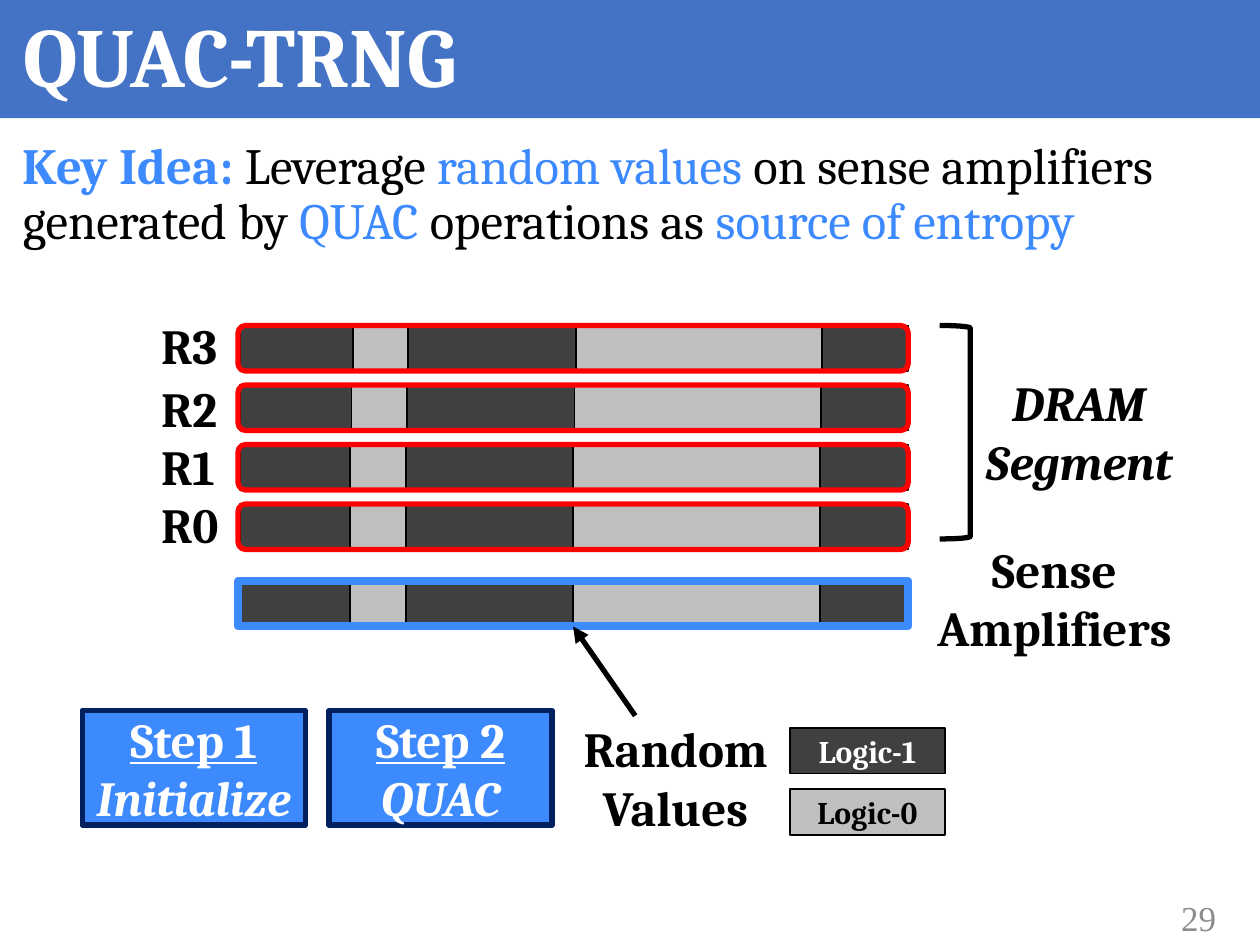
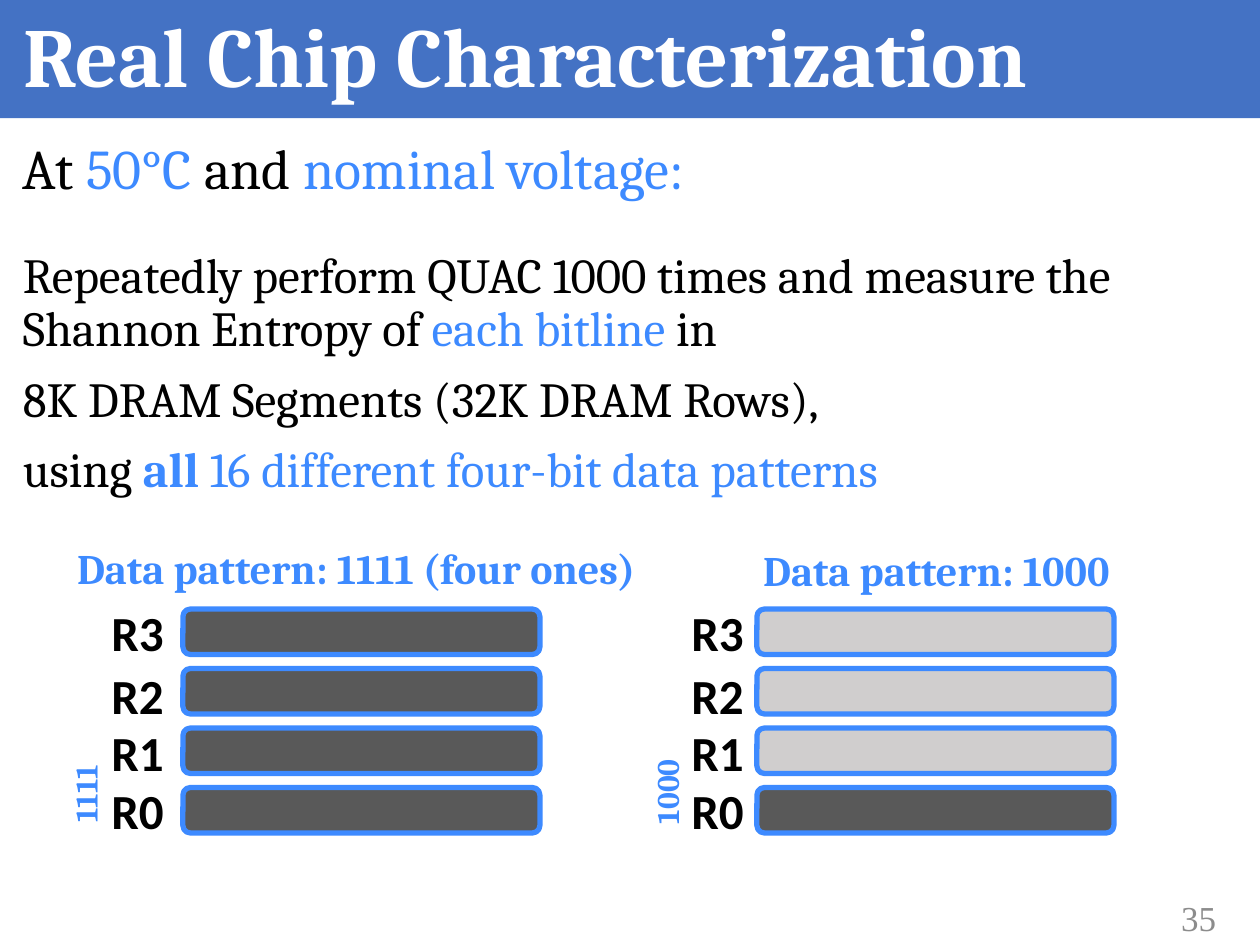
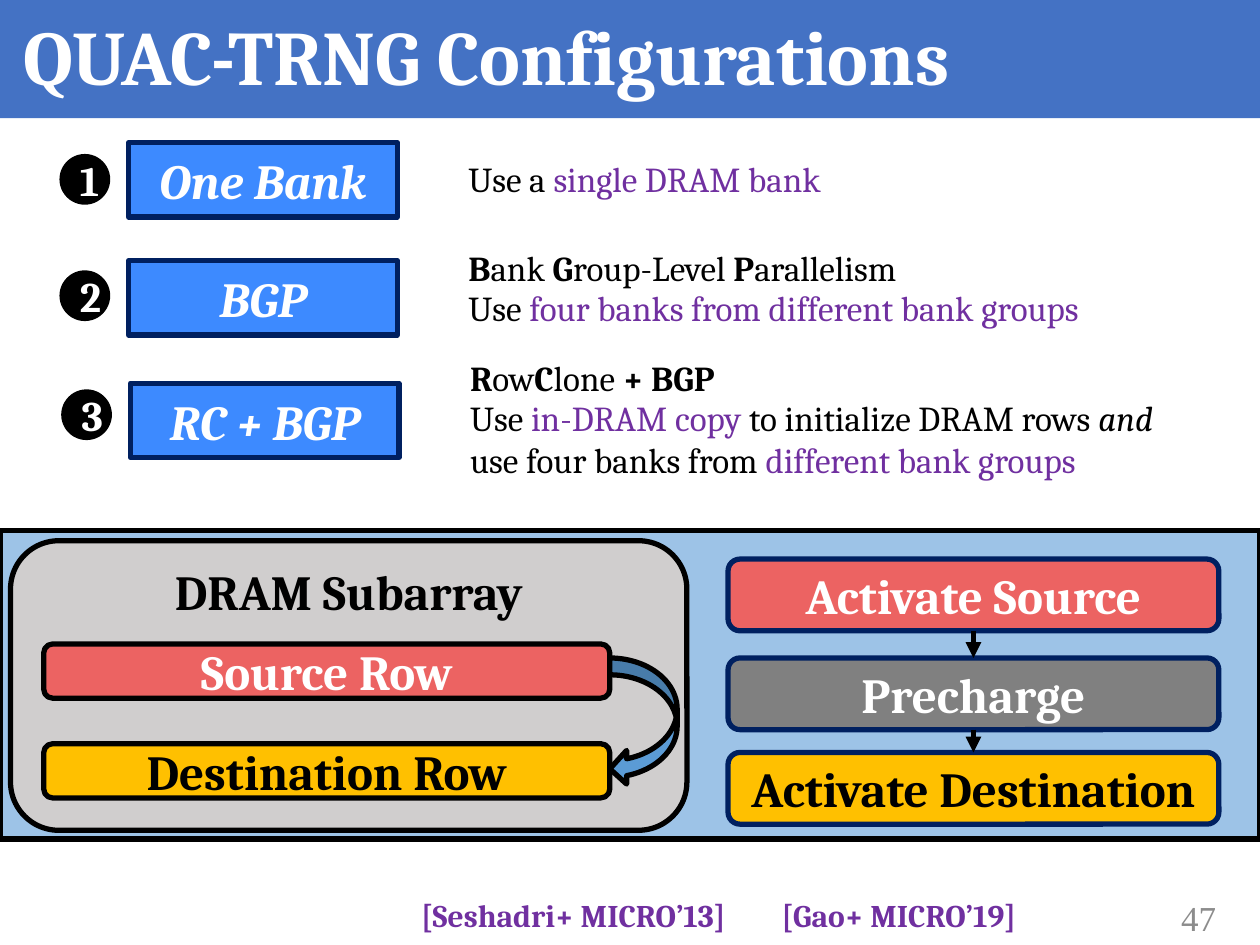
"""Build three slides on QUAC-TRNG: key idea, chip characterization and configurations."""
from lxml import etree
from pptx import Presentation
from pptx.dml.color import RGBColor
from pptx.enum import shapes, text
from pptx.oxml import ns
from pptx.util import Pt

BAND = RGBColor(0x44, 0x72, 0xC4)
BLUE = RGBColor(0x3D, 0x8A, 0xFF)
NAVY = RGBColor(0x00, 0x20, 0x60)
SKY = RGBColor(0x9D, 0xC3, 0xE7)
ARROW_BLUE = RGBColor(0x5B, 0x9B, 0xD5)
PURPLE = RGBColor(0x70, 0x30, 0xA0)
RED = RGBColor(0xFF, 0x00, 0x00)
CORAL = RGBColor(0xEC, 0x63, 0x62)
GOLD = RGBColor(0xFF, 0xC0, 0x00)
BLACK = RGBColor(0x00, 0x00, 0x00)
WHITE = RGBColor(0xFF, 0xFF, 0xFF)
ONE = RGBColor(0x40, 0x40, 0x40)
ZERO = RGBColor(0xBF, 0xBF, 0xBF)
DARK = RGBColor(0x59, 0x59, 0x59)
LIGHT = RGBColor(0xD0, 0xCE, 0xCE)
GRAY = RGBColor(0x80, 0x80, 0x80)
FOOTER = RGBColor(0x8C, 0x8C, 0x8C)

RECT = shapes.MSO_SHAPE.RECTANGLE
ROUND = shapes.MSO_SHAPE.ROUNDED_RECTANGLE
LEFT, CENTER, RIGHT = text.PP_ALIGN.LEFT, text.PP_ALIGN.CENTER, text.PP_ALIGN.RIGHT
LABEL_OFFSETS = (0, 36, 69, 102)
ROW_STEP = 34
ROW_HEIGHT = 26


def draw(page, kind, place, fill=None, line=None, width=1):
    """Add a preset shape, or a wrapping text box when kind is None."""
    place = [Pt(length) for length in place]
    if kind is None:
        box = page.shapes.add_textbox(*place)
        box.text_frame.word_wrap = True
        return box
    box = page.shapes.add_shape(kind, *place)
    box.shadow.inherit = False
    if fill is None:
        box.fill.background()
    else:
        box.fill.solid()
        box.fill.fore_color.rgb = fill
    if line is None:
        box.line.fill.background()
    else:
        box.line.color.rgb = line
        box.line.width = Pt(width)
    return box


def write(box, spans, size, align=CENTER, font="Cambria"):
    """Append a paragraph of (words, colour, style) spans, where style uses b, i and u."""
    frame = box.text_frame
    para = frame.add_paragraph() if frame.text else frame.paragraphs[0]
    para.alignment = align
    for words, color, style in spans:
        if words == "\n":
            para.add_line_break()
            continue
        span = para.add_run()
        span.text = words
        span.font.name = font
        span.font.size = Pt(size)
        span.font.color.rgb = color
        span.font.bold = "b" in style
        span.font.italic = "i" in style
        span.font.underline = "u" in style
    return para


deck = Presentation()
deck.slide_width, deck.slide_height = Pt(720), Pt(540)
layout = deck.slide_layouts[5]
pages = []
for title, size, number in (
    ("QUAC-TRNG", 48, "29"),
    ("Real Chip Characterization", 48, "35"),
    ("QUAC-TRNG Configurations", 44, "47"),
):
    page = deck.slides.add_slide(layout)
    heading = page.shapes.title
    heading.left, heading.top, heading.width, heading.height = Pt(6), Pt(1), Pt(708), Pt(60)
    heading.text_frame.auto_size = text.MSO_AUTO_SIZE.NONE
    heading.text_frame.vertical_anchor = text.MSO_ANCHOR.MIDDLE
    write(heading, [(title, WHITE, "b")], size, LEFT).space_after = Pt(6)
    footer = draw(page, None, (624, 510, 78, 29))
    footer.text_frame.vertical_anchor = text.MSO_ANCHOR.MIDDLE
    write(footer, [(number, FOOTER, "")], 20, RIGHT, "Times New Roman")
    pages.append(page)
idea, chips, setups = pages

band = draw(idea, RECT, (0, 0, 720, 67.5), BAND)
layout.shapes._spTree.insert(2, band._element)
arrows = []

body = draw(idea, None, (6, 77, 708, 100))
write(body, [
    ("Key Idea:", BLUE, "b"), (" Leverage ", BLACK, ""), ("random values ", BLUE, ""),
    ("on sense amplifiers generated by ", BLACK, ""), ("QUAC ", BLUE, ""),
    ("operations as ", BLACK, ""), ("source of entropy", BLUE, ""),
], 29, LEFT).line_spacing = 0.9

ROWS_TOP = 186
SENSE_TOP = 332
tops = [ROWS_TOP + ROW_STEP * index for index in range(4)] + [SENSE_TOP]
for top, shift in zip(tops, (1.4, 0.7, 0, 0, 0)):
    inner = [edge + shift for edge in (200.2, 231.9, 327.6, 468.5)]
    edges = [137, *inner, 519]
    for index, (start, end) in enumerate(zip(edges, edges[1:])):
        draw(idea, RECT, (start, top, end - start, ROW_HEIGHT), (ONE, ZERO)[index % 2], BLACK)
for index, offset in enumerate(LABEL_OFFSETS):
    draw(idea, ROUND, (136, tops[index], 383, ROW_HEIGHT), None, RED, 3)
    label = draw(idea, None, (85, 177 + offset, 50, 41))
    write(label, [(f"R{3 - index}", BLACK, "b")], 28, LEFT)
sense = draw(idea, RECT, (136, SENSE_TOP, 383, ROW_HEIGHT), None, BLUE, 4.5)
arrows.append((idea, None, sense, 2))

draw(idea, shapes.MSO_SHAPE.RIGHT_BRACKET, (537, 186, 17.5, 122), None, BLACK, 3)
for words, style, place in (
    ("DRAM Segment", "bi", (547, 209.5, 139, 75)),
    ("Sense Amplifiers", "b", (519, 304.5, 167, 75)),
    ("Random Values", "b", (302.5, 407, 167, 75)),
):
    write(draw(idea, None, place), [(words, BLACK, style)], 28)
for left, step, action in ((47, "Step 1", "Initialize"), (188, "Step 2", "QUAC")):
    box = draw(idea, RECT, (left, 406, 127.5, 65.5), BLUE, NAVY, 3)
    write(box, [(step, WHITE, "bu"), ("\n", WHITE, ""), (action, WHITE, "bi")], 28)
for top, words, fill, color in ((416, "Logic-1", ONE, WHITE), (451, "Logic-0", ZERO, BLACK)):
    write(draw(idea, RECT, (451.5, top, 88.5, 26), fill, BLACK), [(words, color, "b")], 18)

body = draw(chips, None, (6, 77, 708, 220))
for size, before, spans in (
    (32, 0, [("At ", BLACK, ""), ("50°C ", BLUE, ""), ("and ", BLACK, ""),
             ("nominal voltage:", BLUE, "")]),
    (28, 28.5, [("Repeatedly perform QUAC 1000 times and measure the Shannon Entropy of ", BLACK, ""),
                ("each bitline ", BLUE, ""), ("in", BLACK, "")]),
    (28, 10, [("8K DRAM Segments (32K DRAM Rows),", BLACK, "")]),
    (28, 10, [("using ", BLACK, ""), ("all", BLUE, "b"),
              (" 16 different four-bit data patterns", BLUE, "")]),
):
    para = write(body, spans, size, LEFT)
    para.line_spacing = 0.9
    if before:
        para.space_before = Pt(before)

for caption, place, bits, row_left, label_left, side in (
    ("Data pattern: 1111 (four ones)", (17, 306.5, 373, 36), "1111", 104.5, 56.5, (-14, 400, 125.5, 29)),
    ("Data pattern: 1000", (405.5, 307.5, 259, 36), "1000", 432.5, 388, (317, 399.5, 128, 29)),
):
    write(draw(chips, None, place), [(caption, BLUE, "b")], 24)
    for index, (bit, offset) in enumerate(zip(reversed(bits), LABEL_OFFSETS)):
        fill = DARK if bit == "1" else LIGHT
        draw(chips, ROUND, (row_left, 348 + ROW_STEP * index, 204, ROW_HEIGHT), fill, BLUE, 3)
        label = draw(chips, None, (label_left, 340.5 + offset, 48, 41))
        write(label, [(f"R{3 - index}", BLACK, "b")], 28, LEFT, "Calibri")
    side_label = draw(chips, None, side)
    side_label.rotation = 270
    write(side_label, [(bits, BLUE, "b")], 18, LEFT)

for number, name, left, box_top, circle_top in (
    ("1", "One Bank", 73.5, 81.5, 88.5),
    ("2", "BGP", 73.5, 149, 155),
    ("3", "RC + BGP", 74.5, 219, 223),
):
    box = draw(setups, RECT, (left, box_top, 153.5, 42.5), BLUE, NAVY, 3)
    write(box, [(name, WHITE, "bi")], 28)
    circle = draw(setups, shapes.MSO_SHAPE.OVAL, (left - 39, circle_top, 28, 28), BLACK, BLACK)
    write(circle, [(number, WHITE, "b")], 24)

for left, top, lines in (
    (260.5, 86.5, [[("Use a ", BLACK, ""), ("single DRAM bank", PURPLE, "")]]),
    (260.5, 137.5, [[("B", BLACK, "b"), ("ank ", BLACK, ""), ("G", BLACK, "b"),
                     ("roup-Level ", BLACK, ""), ("P", BLACK, "b"), ("arallelism", BLACK, "")]]),
    (260.5, 160, [[("Use ", BLACK, ""), ("four banks from different bank groups", PURPLE, "")]]),
    (261.5, 200, [[("R", BLACK, "b"), ("ow", BLACK, ""), ("C", BLACK, "b"),
                   ("lone ", BLACK, ""), ("+ BGP", BLACK, "b")]]),
    (261.5, 223, [[("Use ", BLACK, ""), ("in-DRAM copy ", PURPLE, ""),
                   ("to initialize DRAM rows ", BLACK, ""), ("and", BLACK, "i")],
                  [("use four banks from ", BLACK, ""), ("different bank groups", PURPLE, "")]]),
):
    note = draw(setups, None, (left, top, 430, 31.5 * len(lines)))
    for spans in lines:
        write(note, spans, 20, LEFT)

draw(setups, RECT, (0, 303, 720, 176.5), SKY, BLACK, 3)
subarray = draw(setups, ROUND, (6, 309, 386.5, 165.5), LIGHT, BLACK, 3)
subarray.text_frame.vertical_anchor = text.MSO_ANCHOR.TOP
write(subarray, [("DRAM Subarray", BLACK, "b")], 28)
for top, words, fill, color in (
    (368, "Source Row", CORAL, WHITE),
    (425, "Destination Row", GOLD, BLACK),
):
    write(draw(setups, ROUND, (25, top, 323.5, 31), fill, BLACK, 3), [(words, color, "b")], 28)
draw(setups, shapes.MSO_SHAPE.CURVED_LEFT_ARROW, (348.5, 376, 38.5, 73), ARROW_BLUE, BLACK, 3)

previous = None
for top, words, fill, color in (
    (319.5, "Activate Source", CORAL, WHITE),
    (376, "Precharge", GRAY, WHITE),
    (430, "Activate Destination", GOLD, BLACK),
):
    command = draw(setups, ROUND, (416, top, 280.5, 41), fill, NAVY, 3)
    write(command, [(words, color, "b")], 28)
    if previous:
        arrows.append((setups, previous, command, 0))
    previous = command
for left, width, words in ((233.5, 198, "[Seshadri+ MICRO’13]"), (439.5, 157, "[Gao+ MICRO’19]")):
    write(draw(setups, None, (left, 508.5, width, 29)), [(words, PURPLE, "b")], 18, LEFT)

for page, source, target, site in arrows:
    arrow = page.shapes.add_connector(
        shapes.MSO_CONNECTOR.STRAIGHT, Pt(363), Pt(409), Pt(327.5), Pt(358))
    if source:
        arrow.begin_connect(source, 2)
    arrow.end_connect(target, site)
    arrow.line.color.rgb = BLACK
    arrow.line.width = Pt(3)
    etree.SubElement(arrow.line._get_or_add_ln(), ns.qn("a:tailEnd"), type="triangle")
    etree.SubElement(arrow._element.spPr, ns.qn("a:effectLst"))

deck.save("out.pptx")
